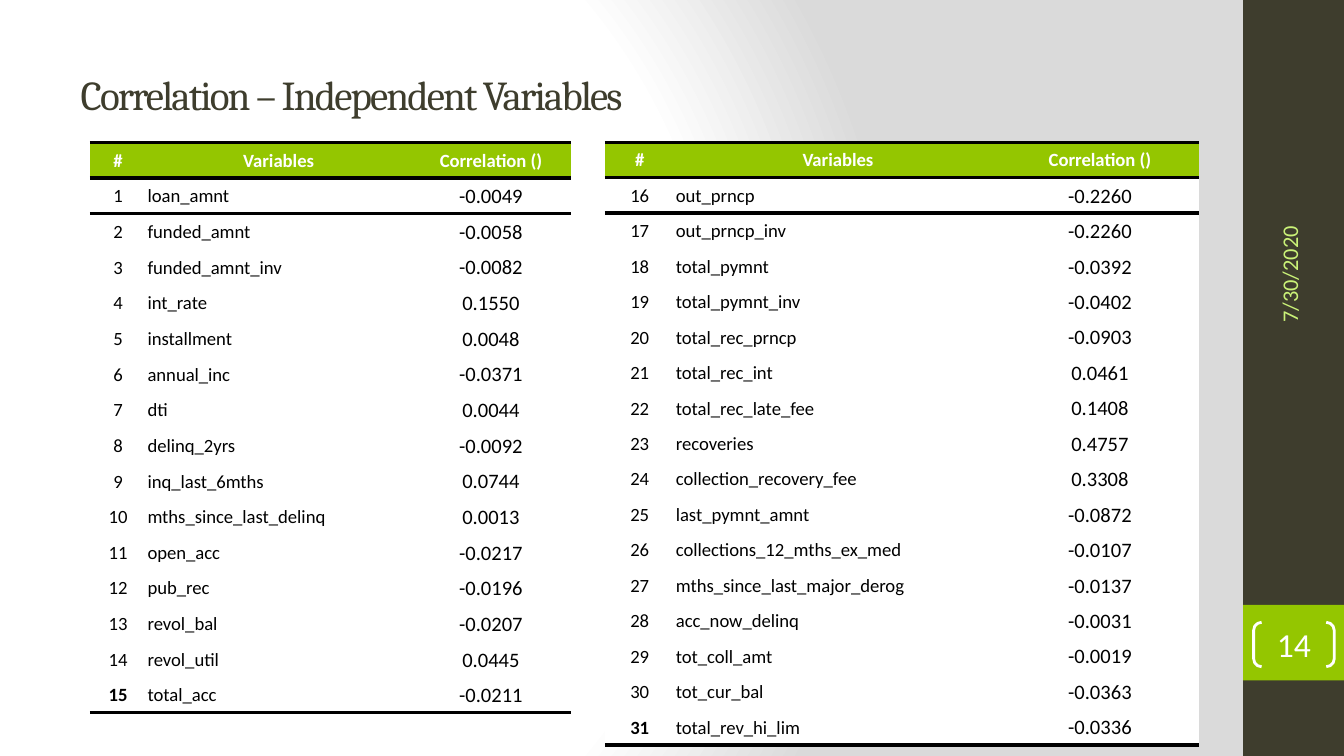
"""Build a slide with two tables of variable correlations."""
import pptx
import pptx.dml.color
import pptx.enum.shapes
import pptx.enum.text
import pptx.oxml
import pptx.oxml.ns
import pptx.util

Pt = pptx.util.Pt
ALIGN = pptx.enum.text.PP_ALIGN
MIDDLE = pptx.enum.text.MSO_ANCHOR.MIDDLE
SHAPE = pptx.enum.shapes.MSO_SHAPE
NAMESPACE = pptx.oxml.ns.nsdecls("a")
COLORS = {
    "dark": "3E3D2D", "green": "94C600", "lime": "CAF278",
    "white": "FFFFFF", "black": "000000", "gray": "DADADA",
}
HEADINGS = ("#", "Variables", "Correlation ()")
TABLES = [
    {
        "left": 48.2, "widths": (30.2, 141.8, 85.7), "row_height": 19.13, "first": 1,
        "rows": [
            ("loan_amnt", "-0.0049"), ("funded_amnt", "-0.0058"),
            ("funded_amnt_inv", "-0.0082"), ("int_rate", "0.1550"),
            ("installment", "0.0048"), ("annual_inc", "-0.0371"),
            ("dti", "0.0044"), ("delinq_2yrs", "-0.0092"),
            ("inq_last_6mths", "0.0744"), ("mths_since_last_delinq", "0.0013"),
            ("open_acc", "-0.0217"), ("pub_rec", "-0.0196"),
            ("revol_bal", "-0.0207"), ("revol_util", "0.0445"),
            ("total_acc", "-0.0211"),
        ],
    },
    {
        "left": 324, "widths": (37.4, 175, 105.8), "row_height": 19.02, "first": 16,
        "rows": [
            ("out_prncp", "-0.2260"), ("out_prncp_inv", "-0.2260"),
            ("total_pymnt", "-0.0392"), ("total_pymnt_inv", "-0.0402"),
            ("total_rec_prncp", "-0.0903"), ("total_rec_int", "0.0461"),
            ("total_rec_late_fee", "0.1408"), ("recoveries", "0.4757"),
            ("collection_recovery_fee", "0.3308"), ("last_pymnt_amnt", "-0.0872"),
            ("collections_12_mths_ex_med", "-0.0107"),
            ("mths_since_last_major_derog", "-0.0137"),
            ("acc_now_delinq", "-0.0031"), ("tot_coll_amt", "-0.0019"),
            ("tot_cur_bal", "-0.0363"), ("total_rev_hi_lim", "-0.0336"),
        ],
    },
]


def rgb(name):
    return pptx.dml.color.RGBColor.from_string(COLORS[name])


def write(frame, text, size, color, align=ALIGN.LEFT, font="Calibri", bold=False):
    frame.text = text
    frame.vertical_anchor = MIDDLE
    para = frame.paragraphs[0]
    para.alignment = align
    span = para.runs[0]
    span.font.name = font
    span.font.size = Pt(size)
    span.font.bold = bold
    span.font.color.rgb = rgb(color)
    return span


deck = pptx.Presentation()
deck.slide_width, deck.slide_height = Pt(720), Pt(405)
page = deck.slides.add_slide(deck.slide_layouts[5])

backdrop = page.background.fill
backdrop.gradient()
properties = page.background._cSld.bg.bgPr
stops = "".join(
    f'<a:gs pos="{position}"><a:srgbClr val="{COLORS[name]}"/></a:gs>'
    for position, name in ((0, "white"), (75000, "white"), (100000, "gray"))
)
gradient = pptx.oxml.parse_xml(
    f'<a:gradFill {NAMESPACE} rotWithShape="1"><a:gsLst>{stops}</a:gsLst>'
    '<a:path path="circle"><a:fillToRect l="20000" t="50000" r="100000" b="50000"/>'
    "</a:path></a:gradFill>"
)
properties.replace(properties.find(pptx.oxml.ns.qn("a:gradFill")), gradient)

for top, height, color in ((0, 405, "dark"), (324, 40.5, "green")):
    band = page.shapes.add_shape(SHAPE.RECTANGLE, Pt(666), Pt(top), Pt(54), Pt(height))
    band.shadow.inherit = False
    band.fill.solid()
    band.fill.fore_color.rgb = rgb(color)
    band.line.fill.background()

title = page.shapes.title
title.left, title.top, title.width, title.height = Pt(36), Pt(16.9), Pt(600), Pt(67.5)
title_span = write(title.text_frame, "Correlation – Independent Variables", 22, "dark", font="Cambria")
title_span.font._element.set("spc", "-100")

date_box = page.shapes.add_textbox(Pt(618.6), Pt(93.6), Pt(144), Pt(28.8))
date_box.rotation = 270
date_box.text_frame.word_wrap = True
write(date_box.text_frame, "7/30/2020", 12, "lime")

number_box = page.shapes.add_shape(SHAPE.DOUBLE_BRACKET, Pt(671.6), Pt(333.4), Pt(43.2), Pt(23.8))
number_box.adjustments[0] = 0.18
number_box.shadow.inherit = False
number_box.fill.background()
number_box.line.color.rgb = rgb("white")
number_box.line.width = Pt(1.5)
number_frame = number_box.text_frame
number_frame.margin_left = number_frame.margin_right = 0
number_frame.margin_top = number_frame.margin_bottom = 0
write(number_frame, "14", 18, "white", ALIGN.CENTER)

for group in TABLES:
    records = [HEADINGS] + [
        (str(number), *row) for number, row in enumerate(group["rows"], group["first"])
    ]
    last = len(records) - 1
    frame = page.shapes.add_table(
        len(records), len(HEADINGS), Pt(group["left"]), Pt(76.2),
        Pt(sum(group["widths"])), Pt(group["row_height"] * len(records)),
    )
    table = frame.table
    table.horz_banding = False
    style = table._tbl.tblPr.find(pptx.oxml.ns.qn("a:tableStyleId"))
    style.text = "{2D5ABB26-0587-4C30-8999-92F81FD0307C}"
    for column, width in zip(table.columns, group["widths"]):
        column.width = Pt(width)
    for row_index, record in enumerate(records):
        table.rows[row_index].height = Pt(group["row_height"])
        header = row_index == 0
        edges = {0: ("lnT", "lnB"), 1: ("lnT",), last: ("lnB",)}.get(row_index, ())
        for column_index, text in enumerate(record):
            cell = table.cell(row_index, column_index)
            cell.margin_left = cell.margin_right = cell.margin_top = Pt(0.7)
            cell.margin_bottom = 0
            cell.vertical_anchor = MIDDLE
            cell.fill.solid()
            cell.fill.fore_color.rgb = rgb("green" if header else "white")
            write(
                cell.text_frame, text,
                11 if column_index == 2 and not header else 10,
                "white" if header else "black",
                ALIGN.LEFT if column_index == 1 and not header else ALIGN.CENTER,
                bold=header or (row_index == last and column_index == 0),
            )
            cell.text_frame.vertical_anchor = None
            for position, edge in enumerate(edges):
                border = pptx.oxml.parse_xml(
                    f'<a:{edge} {NAMESPACE} w="25400"><a:solidFill>'
                    f'<a:srgbClr val="{COLORS["black"]}"/></a:solidFill></a:{edge}>'
                )
                cell._tc.tcPr.insert(position, border)

deck.save("out.pptx")
